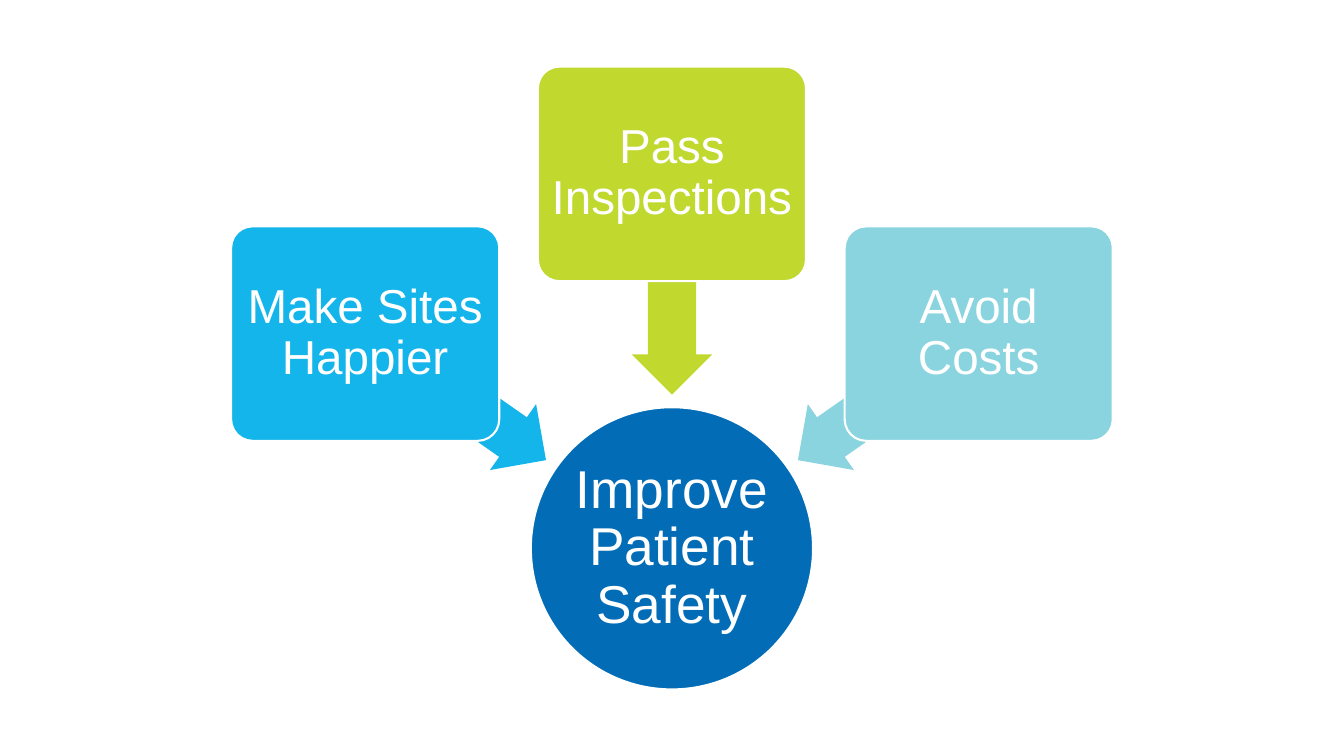
from math import cos, radians, sin

from pptx import Presentation
from pptx.dml.color import RGBColor
from pptx.enum.shapes import MSO_SHAPE
from pptx.enum.text import MSO_ANCHOR, PP_ALIGN
from pptx.util import Pt

CIRCLE = MSO_SHAPE.OVAL
CARD = MSO_SHAPE.ROUNDED_RECTANGLE
ARROW = MSO_SHAPE.LEFT_ARROW
MIDDLE = MSO_ANCHOR.MIDDLE
CENTER = PP_ALIGN.CENTER

COLORS = {
    "hub": "026CB6",
    "sites": "13B5EA",
    "inspections": "C1D82F",
    "costs": "8AD4DF",
    "white": "FFFFFF",
}
SPOKES = [
    ("Make Sites Happier", "sites", 215),
    ("Pass Inspections", "inspections", 270),
    ("Avoid Costs", "costs", 325),
]
HUB_SIZE = 201.6
CARD_WIDTH, CARD_HEIGHT = 191.5, 153.2
ARROW_WIDTH, ARROW_HEIGHT = 157.7, 57.5
ARROW_DISTANCE, CARD_DISTANCE = 188.7, 267.5


def rgb(name):
    """Return the named colour."""
    return RGBColor.from_string(COLORS[name])


def apply_format(target, values):
    """Set each attribute named in values on the target."""
    for name, value in values.items():
        setattr(target, name, value)


def add_centered(slide, kind, center, size, color):
    """Add a filled shape without outline around a centre point."""
    (x, y), (width, height) = center, size
    shape = slide.shapes.add_shape(
        kind, Pt(x - width / 2), Pt(y - height / 2), Pt(width), Pt(height)
    )
    shape.shadow.inherit = False
    shape.fill.solid()
    shape.fill.fore_color.rgb = rgb(color)
    shape.line.fill.background()
    return shape


def add_label(shape, text, font_size, inset):
    """Give a shape its white outline and centred label."""
    shape.line.color.rgb = rgb("white")
    shape.line.width = Pt(1.5)
    frame = shape.text_frame
    margins = ("margin_left", "margin_top", "margin_right", "margin_bottom")
    apply_format(frame, dict.fromkeys(margins, Pt(inset)))
    apply_format(frame, {"word_wrap": True, "vertical_anchor": MIDDLE})
    paragraph = frame.paragraphs[0]
    paragraph.text = text
    apply_format(paragraph, {"alignment": CENTER, "line_spacing": 0.9})
    apply_format(paragraph.font, {"name": "Arial", "size": Pt(font_size)})
    paragraph.font.color.rgb = rgb("white")


def add_spoke(slide, hub_center, text, color, angle):
    """Add a card and its arrow pointing at the hub from the given angle."""
    x, y = hub_center
    across, down = cos(radians(angle)), sin(radians(angle))
    arrow_center = (x + ARROW_DISTANCE * across, y + ARROW_DISTANCE * down)
    arrow = add_centered(slide, ARROW, arrow_center, (ARROW_WIDTH, ARROW_HEIGHT), color)
    arrow.rotation = angle
    arrow.adjustments[0] = 0.6
    arrow.adjustments[1] = 0.5
    card_center = (x + CARD_DISTANCE * across, y + CARD_DISTANCE * down)
    card = add_centered(slide, CARD, card_center, (CARD_WIDTH, CARD_HEIGHT), color)
    card.adjustments[0] = 0.1
    add_label(card, text, 34, 4.5)


def add_converging_diagram(slide, box):
    """Place the hub at the bottom of the box and the spokes above it."""
    left, top, width, height = box
    hub_center = (left + width / 2, top + height - HUB_SIZE / 2)
    hub = add_centered(slide, CIRCLE, hub_center, (HUB_SIZE, HUB_SIZE), "hub")
    add_label(hub, "Improve Patient Safety", 38, 2.4)
    for text, color, angle in SPOKES:
        add_spoke(slide, hub_center, text, color, angle)


def main():
    """Build and save the slide."""
    presentation = Presentation()
    apply_format(presentation, {"slide_width": Pt(960), "slide_height": Pt(540)})
    slide = presentation.slides.add_slide(presentation.slide_layouts[6])
    add_converging_diagram(slide, (165, 47.5, 630, 445))
    presentation.save("out.pptx")


if __name__ == "__main__":
    main()
